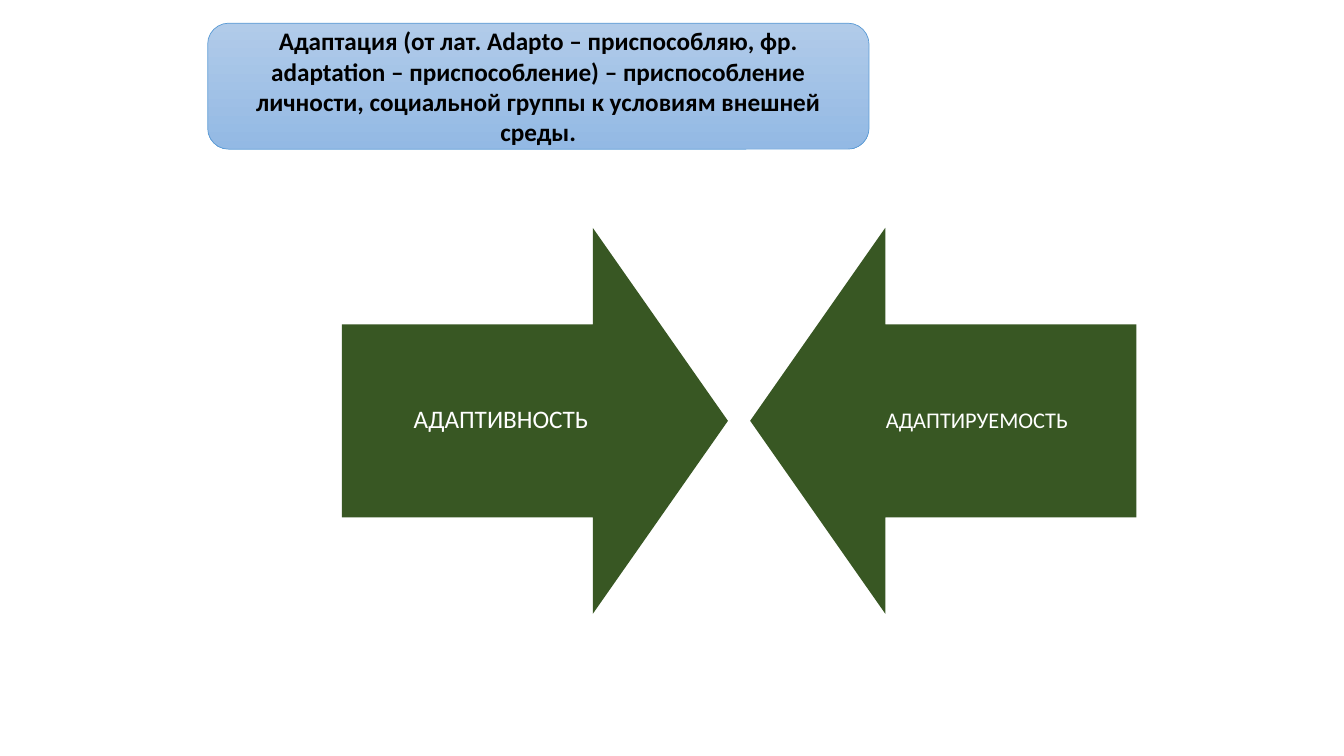
"""Build a slide defining adaptation, with two arrows that meet."""
import dataclasses

import pptx
import pptx.dml.color
import pptx.enum.shapes
import pptx.enum.text
import pptx.util

Inches = pptx.util.Inches
Pt = pptx.util.Pt
RGB = pptx.dml.color.RGBColor.from_string
SHAPE = pptx.enum.shapes.MSO_SHAPE


@dataclasses.dataclass(frozen=True)
class Theme:
    font: str = "Calibri"
    box_top: str = "B1CBE9"
    box_bottom: str = "93B9E4"
    box_line: str = "5B9BD5"
    box_text: str = "000000"
    arrow: str = "385723"
    arrow_text: str = "FFFFFF"
    large: int = 18
    small: int = 16


THEME = Theme()
ARROW_SIZE = 3.83
ARROW_TOP = 2.26
HEAD = 0.35


def write(sp, text, size, color, bold=False, inset=None, spacing=None):
    tf = sp.text_frame
    tf.word_wrap = True
    tf.vertical_anchor = pptx.enum.text.MSO_ANCHOR.MIDDLE
    if inset is not None:
        tf.margin_left = tf.margin_right = Inches(inset)
        tf.margin_top = tf.margin_bottom = Inches(inset)
    p = tf.paragraphs[0]
    p.alignment = pptx.enum.text.PP_ALIGN.CENTER
    if spacing is not None:
        p.line_spacing = spacing
    r = p.add_run()
    r.text = text
    r.font.name = THEME.font
    r.font.size = Pt(size)
    r.font.bold = bold
    r.font.color.rgb = RGB(color)


def add_definition(s, text):
    sp = s.shapes.add_shape(SHAPE.ROUNDED_RECTANGLE, Inches(2.06), Inches(0.23),
                            Inches(6.56), Inches(1.25))
    sp.shadow.inherit = False
    sp.fill.gradient()
    sp.fill.gradient_angle = 270
    for stop, color in zip(sp.fill.gradient_stops, (THEME.box_top, THEME.box_bottom)):
        stop.color.rgb = RGB(color)
    sp.line.color.rgb = RGB(THEME.box_line)
    sp.line.width = Pt(0.5)
    write(sp, text, THEME.large, THEME.box_text, bold=True)


def add_arrow(group, left, rotation, text, size, inset):
    sp = group.shapes.add_shape(SHAPE.DOWN_ARROW, Inches(left), Inches(ARROW_TOP),
                                Inches(ARROW_SIZE), Inches(ARROW_SIZE))
    sp.shadow.inherit = False
    sp.rotation = rotation
    sp.adjustments[0] = 0.5
    sp.adjustments[1] = HEAD
    sp.fill.solid()
    sp.fill.fore_color.rgb = RGB(THEME.arrow)
    sp.line.fill.background()

    label_width = ARROW_SIZE * (1 - HEAD / 2)
    points_left = rotation == 90
    label_left = left + (ARROW_SIZE - label_width if points_left else 0)
    label = group.shapes.add_textbox(
        Inches(label_left), Inches(ARROW_TOP + ARROW_SIZE / 4),
        Inches(label_width), Inches(ARROW_SIZE / 2))
    write(label, text, size, THEME.arrow_text, inset=inset, spacing=0.9)


def main():
    prs = pptx.Presentation()
    prs.slide_width = Inches(13.33)
    prs.slide_height = Inches(7.5)
    s = prs.slides.add_slide(prs.slide_layouts[6])
    add_definition(s, "Адаптация (от лат. Adapto – приспособляю, фр. adaptation – "
                      "приспособление) – приспособление личности, социальной группы "
                      "к условиям внешней среды.")
    group = s.shapes.add_group_shape()
    add_arrow(group, 3.39, 270, "АДАПТИВНОСТЬ", THEME.large, 0.14)
    add_arrow(group, 7.44, 90, "АДАПТИРУЕМОСТЬ", THEME.small, 0.12)
    prs.save("out.pptx")


if __name__ == "__main__":
    main()
